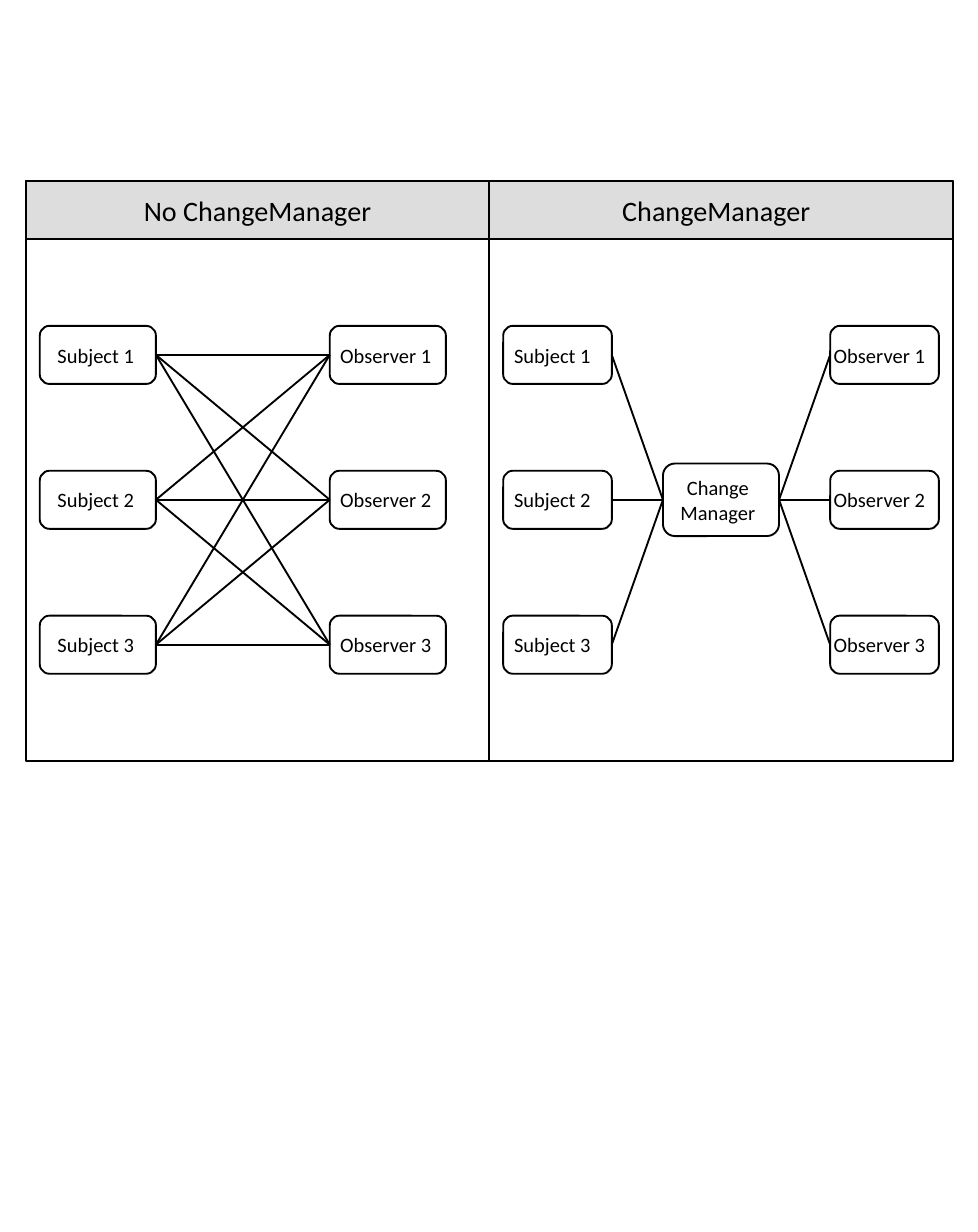
from itertools import product

from pptx import Presentation
from pptx.dml.color import RGBColor
from pptx.enum.shapes import MSO_CONNECTOR as CONN, MSO_SHAPE as SHAPE
from pptx.enum.text import MSO_ANCHOR as ANCHOR, PP_ALIGN as ALIGN
from pptx.oxml.ns import qn
from pptx.util import Pt

COLORS = {"ink": "000000", "paper": "FFFFFF", "header": "DDDDDD"}
FONT = "Calibri"
LINE_W = 0.75
HEADER_H = 22.7
NODE_H = 22.7
ROW_STEP = 56.7
FIRST_ROW = 56.7  # from the panel top to the first node
MARGIN = 5.4
HUB_W, HUB_H = 45.4, 28.4
LEFT, RIGHT = 1, 3  # connection sites


def color(name):
    return RGBColor.from_string(COLORS[name])


def add_box(s, kind, x, y, w, h, fill="paper"):
    sp = s.shapes.add_shape(kind, Pt(x), Pt(y), Pt(w), Pt(h))
    sp.shadow.inherit = False
    sp.fill.solid()
    sp.fill.fore_color.rgb = color(fill)
    sp.line.color.rgb = color("ink")
    sp.line.width = Pt(LINE_W)
    return sp


def set_text(sp, text, size, inset_right=0):
    """Centre the text; a right inset moves it slightly to the left."""
    tf = sp.text_frame
    tf.word_wrap = False
    tf.vertical_anchor = ANCHOR.MIDDLE
    tf.margin_left = tf.margin_top = tf.margin_bottom = 0
    tf.margin_right = Pt(inset_right)
    p = tf.paragraphs[0]
    p.text = text
    p.alignment = ALIGN.CENTER
    for r in p.runs:
        r.font.name = FONT
        r.font.size = Pt(size)
        r.font.color.rgb = color("ink")


def add_line(s, x1, y1, x2, y2):
    c = s.shapes.add_connector(CONN.STRAIGHT, Pt(x1), Pt(y1), Pt(x2), Pt(y2))
    c.line.color.rgb = color("ink")
    c.line.width = Pt(LINE_W)
    sp_pr = c._element.spPr
    sp_pr.append(sp_pr.makeelement(qn("a:effectLst"), {}))
    return c


def link(s, start, end):
    c = add_line(s, 0, 0, 0, 0)
    c.begin_connect(start, RIGHT)
    c.end_connect(end, LEFT)


def add_node(s, text, x, y, w, h, inset_right):
    sp = add_box(s, SHAPE.ROUNDED_RECTANGLE, x, y, w, h)
    sp.adjustments[0] = 0.167
    set_text(sp, text, 8, inset_right)
    return sp


def add_column(s, name, x, top, w, inset_right):
    return [add_node(s, f"{name} {i + 1}", x, top + FIRST_ROW + i * ROW_STEP,
                     w, NODE_H, inset_right) for i in range(3)]


def add_title(s, text, x, y, w, inset_right=0):
    tb = s.shapes.add_textbox(Pt(x), Pt(y), Pt(w), Pt(HEADER_H))
    set_text(tb, text, 11, inset_right)


def draw_frame(s, x, y, w, h):
    add_box(s, SHAPE.RECTANGLE, x, y, w, h)
    add_box(s, SHAPE.RECTANGLE, x, y, w, HEADER_H, "header")
    add_line(s, x + w / 2, y, x + w / 2, y + h)


def draw_direct_panel(s, x, y, w):
    add_title(s, "No ChangeManager", x, y, w)
    node_w = 45.4
    subjects = add_column(s, "Subject", x + MARGIN, y, node_w, 1.6)
    observers = add_column(s, "Observer", x + 118.8, y, node_w, 1.6)
    # Every subject reaches every observer
    for subject, observer in product(subjects, observers):
        link(s, subject, observer)


def draw_managed_panel(s, x, y, w):
    add_title(s, "ChangeManager", x, y, w, 3.6)
    node_w = 42.5
    subjects = add_column(s, "Subject", x + MARGIN, y, node_w, 4)
    observers = add_column(s, "Observer", x + w - MARGIN - node_w, y, node_w, 4)
    # The hub is level with the middle row
    hub_y = y + FIRST_ROW + ROW_STEP + (NODE_H - HUB_H) / 2
    hub = add_node(s, "Change\vManager", x + (w - HUB_W) / 2, hub_y,
                   HUB_W, HUB_H, 2.4)
    for subject in subjects:
        link(s, subject, hub)
    for observer in observers:
        link(s, hub, observer)


def main():
    prs = Presentation()
    prs.slide_width, prs.slide_height = Pt(382.5), Pt(482)
    s = prs.slides.add_slide(prs.slide_layouts[6])

    x, y, w, h = 10.2, 70.8, 362.4, 226.8
    draw_frame(s, x, y, w, h)
    draw_direct_panel(s, x, y, w / 2)
    draw_managed_panel(s, x + w / 2, y, w / 2)

    prs.save("out.pptx")


if __name__ == "__main__":
    main()
